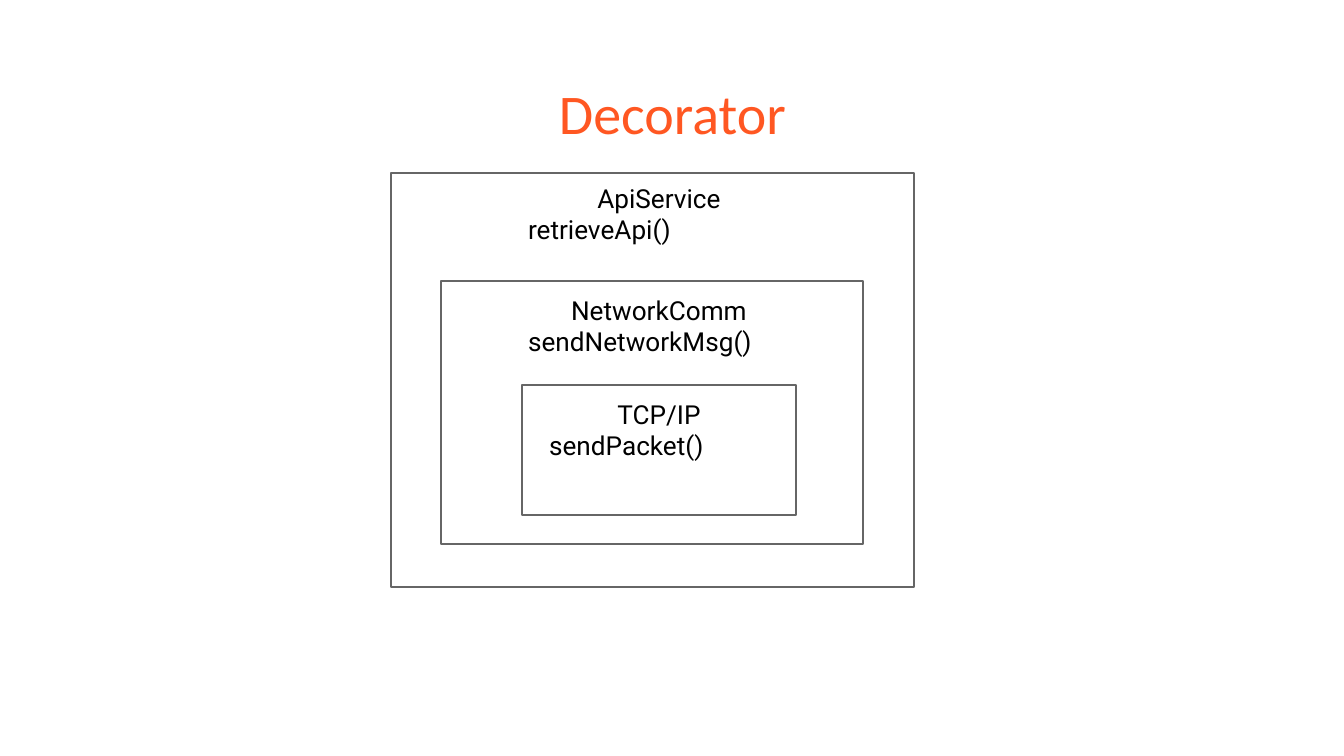
from dataclasses import dataclass

import pptx
import pptx.dml.color
import pptx.enum.shapes
import pptx.enum.text
import pptx.util
from pptx.slide import Slide

SCALE = 914400 / 134.4  # EMU per px
INSET = 13
HUES = {"title": "FF5722", "text": "000000", "line": "666666"}
ALIGN = pptx.enum.text.PP_ALIGN


@dataclass
class Area:
    left: int
    top: int
    width: int
    height: int


@dataclass
class Layer:
    frame: Area
    label: Area
    name: str
    method: str


# Nested layers, from the outside in
LAYERS = [
    Layer(Area(391, 173, 523, 414), Area(515, 169, 288, 97), "ApiService", "retrieveApi()"),
    Layer(Area(441, 281, 422, 263), Area(515, 281, 288, 97), "NetworkComm", "sendNetworkMsg()"),
    Layer(Area(522, 385, 274, 130), Area(536, 385, 246, 97), "TCP/IP", "sendPacket()"),
]


def emu(px: float) -> int:
    return round(px * SCALE)


def place(area: Area) -> tuple[int, int, int, int]:
    return emu(area.left), emu(area.top), emu(area.width), emu(area.height)


def color(key: str) -> pptx.dml.color.RGBColor:
    return pptx.dml.color.RGBColor.from_string(HUES[key])


def add_text(slide: Slide, area: Area, lines: list[str], *, font: str = "Roboto",
             size: int = 14, hue: str = "text") -> None:
    """Write lines in a box: the first centred, the rest at the left."""
    frame = slide.shapes.add_textbox(*place(area)).text_frame
    frame.word_wrap = True
    frame.vertical_anchor = pptx.enum.text.MSO_ANCHOR.TOP
    frame.margin_left = frame.margin_right = emu(INSET)
    frame.margin_top = frame.margin_bottom = emu(INSET)
    for i, line in enumerate(lines):
        para = frame.add_paragraph() if i else frame.paragraphs[0]
        para.alignment = ALIGN.LEFT if i else ALIGN.CENTER
        run = para.add_run()
        run.text = line
        run.font.name = font
        run.font.size = pptx.util.Pt(size)
        run.font.color.rgb = color(hue)


def add_frame(slide: Slide, area: Area) -> None:
    kind = pptx.enum.shapes.MSO_SHAPE.RECTANGLE
    box = slide.shapes.add_shape(kind, *place(area))
    box.shadow.inherit = False
    box.fill.background()
    box.line.color.rgb = color("line")
    box.line.width = pptx.util.Pt(0.75)


def main() -> None:
    deck = pptx.Presentation()
    deck.slide_width, deck.slide_height = emu(1344), emu(756)
    slide = deck.slides.add_slide(deck.slide_layouts[6])

    # Title
    add_text(slide, Area(46, 66, 1253, 85), ["Decorator"],
             font="Calibri", size=30, hue="title")

    # Layers
    for layer in LAYERS:
        add_frame(slide, layer.frame)
        add_text(slide, layer.label, [layer.name, layer.method])

    deck.save("out.pptx")


if __name__ == "__main__":
    main()
